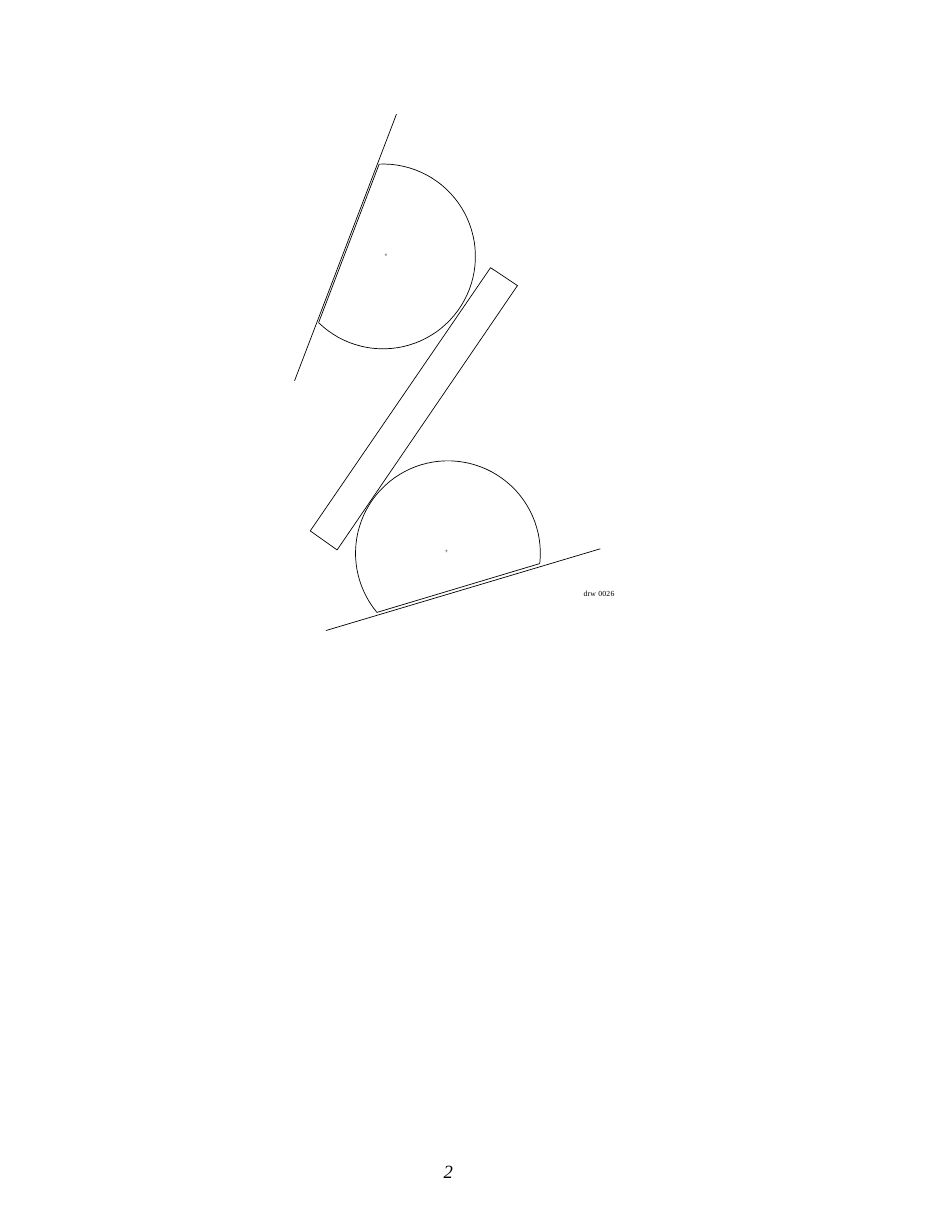
"""Build a page with two flat-sided rollers, a bar between them and two guide lines."""
import math

import pptx
import pptx.dml.color
import pptx.enum.shapes
import pptx.util
from lxml import etree
from pptx.util import Inches

THEME = {
    "ink": pptx.dml.color.RGBColor(0, 0, 0),
    "font": "Times New Roman",
    "line": 0.44,
    "mark": 4,
    "label": 5,
    "page": 12,
}
RADIUS = 0.825
STEPS = 60

prs = pptx.Presentation()
prs.slide_width, prs.slide_height = Inches(8.5), Inches(11)
s = prs.slides.add_slide(prs.slide_layouts[6])


def add_text(text, left, top, width, height, size, spacing=-10, italic=False, rotation=0):
    sp = s.shapes.add_textbox(Inches(left), Inches(top), Inches(width), Inches(height))
    sp.rotation = rotation
    tf = sp.text_frame
    tf.word_wrap = True
    tf.margin_left = tf.margin_top = tf.margin_right = tf.margin_bottom = 0
    r = tf.paragraphs[0].add_run()
    r.text = text
    r.font.name = THEME["font"]
    r.font.size = pptx.util.Pt(size)
    r.font.italic = italic
    r.font.color.rgb = THEME["ink"]
    r._r.get_or_add_rPr().set("spc", str(spacing))


def add_outline(points, close=False):
    points = [(Inches(x), Inches(y)) for x, y in points]
    fb = s.shapes.build_freeform(*points[0])
    fb.add_line_segments(points[1:], close=close)
    sp = fb.convert_to_shape()
    sp.shadow.inherit = False
    sp.fill.background()
    sp.line.color.rgb = THEME["ink"]
    sp.line.width = pptx.util.Pt(THEME["line"])


rollers = [
    ((4, 4.94), 140.2, 366.4),
    ((3.42, 2.29), 267.6, 494.2),
]
lines = [((2.91, 5.63), (5.36, 4.9)), ((3.54, 1.02), (2.63, 3.4))]

for (cx, cy), start, end in rollers:
    angles = [math.radians(start + (end - start) * i / STEPS) for i in range(STEPS + 1)]
    arc = [(cx + RADIUS * math.cos(a), cy + RADIUS * math.sin(a)) for a in angles]
    add_outline(arc)
    lines.append((arc[-1], arc[0]))

for (x1, y1), (x2, y2) in lines:
    cn = s.shapes.add_connector(
        pptx.enum.shapes.MSO_CONNECTOR.STRAIGHT, Inches(x1), Inches(y1), Inches(x2), Inches(y2)
    )
    cn.line.color.rgb = THEME["ink"]
    cn.line.width = pptx.util.Pt(THEME["line"])
    etree.SubElement(cn._element.spPr, pptx.oxml.ns.qn("a:effectLst"))

add_outline([(2.77, 4.74), (3.01, 4.91), (4.62, 2.55), (4.38, 2.39)], close=True)

add_text("+", 3.97, 4.89, 0.06, 0.08, THEME["mark"])
add_text("+", 3.4, 2.26, 0.07, 0.07, THEME["mark"], rotation=127)
add_text("drw 0026", 5.21, 5.26, 0.32, 0.1, THEME["label"], spacing=10)
add_text("2", 3.96, 10.36, 0.11, 0.19, THEME["page"], italic=True)

prs.save("out.pptx")
